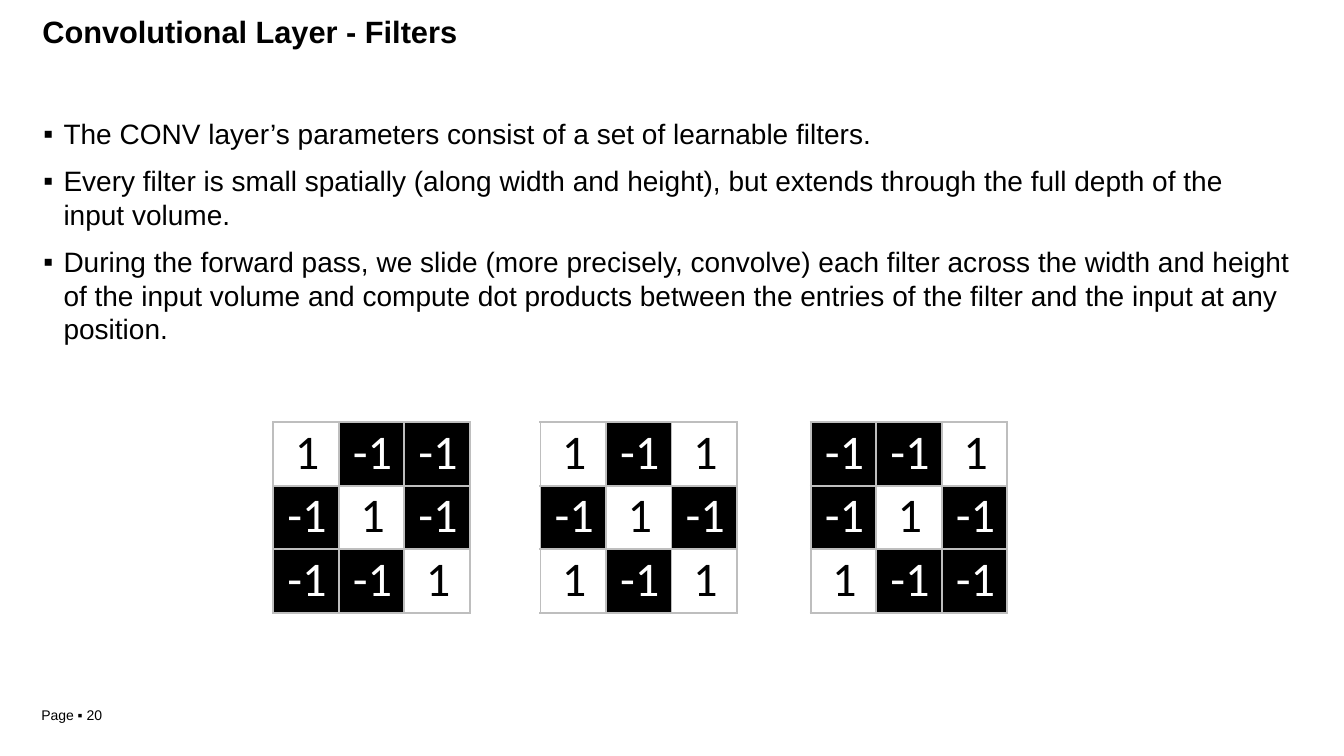
import dataclasses
import typing

import lxml.etree
import pptx
import pptx.dml.color
import pptx.enum.text
import pptx.oxml
import pptx.oxml.ns
import pptx.util

Inches = pptx.util.Inches
Pt = pptx.util.Pt
RGBColor = pptx.dml.color.RGBColor


@dataclasses.dataclass(frozen=True)
class Theme:
    black: RGBColor = RGBColor(0, 0, 0)
    white: RGBColor = RGBColor(255, 255, 255)
    border: str = "BEBEBE"
    text_font: str = "Arial"
    number_font: str = "Calibri"
    title_size: float = 22
    body_size: float = 20
    page_size: float = 10
    number_size: float = 34.5
    border_width: float = 1.5


@dataclasses.dataclass(frozen=True)
class Box:
    left: float
    top: float
    width: float
    height: float


@dataclasses.dataclass(frozen=True)
class Filter:
    left: float
    weights: tuple[tuple[int, ...], ...]


THEME = Theme()
TITLE_BOX = Box(0.42, 0.12, 4.5, 0.38)
BODY_BOX = Box(0.42, 1.01, 12.38, 2.43)
PAGE_BOX = Box(0.41, 7.01, 0.67, 0.17)
FILTER_TOP = 4.19
CELL_WIDTH = 0.65
CELL_HEIGHT = 0.63
BULLETS = (
    "The CONV layer’s parameters consist of a set of learnable filters.",
    "Every filter is small spatially (along width and height), but extends "
    "through the full depth of the input volume.",
    "During the forward pass, we slide (more precisely, convolve) each filter "
    "across the width and height of the input volume and compute dot products "
    "between the entries of the filter and the input at any position.",
)
FILTERS = (
    Filter(2.71, ((1, -1, -1), (-1, 1, -1), (-1, -1, 1))),
    Filter(5.36, ((1, -1, 1), (-1, 1, -1), (1, -1, 1))),
    Filter(8.04, ((-1, -1, 1), (-1, 1, -1), (1, -1, -1))),
)


def place(shape: typing.Any, box: Box, inset_top: float) -> typing.Any:
    shape.left, shape.top = Inches(box.left), Inches(box.top)
    shape.width, shape.height = Inches(box.width), Inches(box.height)
    frame = shape.text_frame
    frame.margin_left = frame.margin_right = frame.margin_bottom = 0
    frame.margin_top = Inches(inset_top)
    frame.word_wrap = True
    frame.auto_size = pptx.enum.text.MSO_AUTO_SIZE.NONE
    frame.vertical_anchor = pptx.enum.text.MSO_ANCHOR.TOP
    return frame


def format_paragraph(paragraph: typing.Any, font: str, size: float, color: RGBColor,
                     bold: bool = False, centered: bool = False) -> None:
    alignment = pptx.enum.text.PP_ALIGN
    paragraph.alignment = alignment.CENTER if centered else alignment.LEFT
    paragraph.font.name = font
    paragraph.font.size = Pt(size)
    paragraph.font.bold = bold
    paragraph.font.color.rgb = color


def add_bullet(paragraph: typing.Any) -> None:
    properties = paragraph._p.get_or_add_pPr()
    properties.set("marL", str(Inches(0.21)))
    properties.set("indent", str(Inches(-0.2)))
    bullet_font = lxml.etree.SubElement(properties, pptx.oxml.ns.qn("a:buFont"))
    bullet_font.set("typeface", THEME.text_font)
    bullet = lxml.etree.SubElement(properties, pptx.oxml.ns.qn("a:buChar"))
    bullet.set("char", "▪")


def add_borders(cell: typing.Any) -> None:
    properties = cell._tc.get_or_add_tcPr()
    for position, side in enumerate(("lnL", "lnR", "lnT", "lnB")):
        properties.insert(position, pptx.oxml.parse_xml(
            f'<a:{side} {pptx.oxml.ns.nsdecls("a")} w="{Pt(THEME.border_width)}">'
            f'<a:solidFill><a:srgbClr val="{THEME.border}"/></a:solidFill></a:{side}>'))


def add_title(slide: typing.Any) -> None:
    frame = place(slide.shapes.title, TITLE_BOX, 0.01)
    frame.text = "Convolutional Layer - Filters"
    format_paragraph(frame.paragraphs[0], THEME.text_font, THEME.title_size,
                     THEME.black, bold=True)


def add_body(slide: typing.Any) -> None:
    frame = place(slide.placeholders[1], BODY_BOX, 0.15)
    frame.text = "\n".join(BULLETS)
    for index, paragraph in enumerate(frame.paragraphs):
        add_bullet(paragraph)
        paragraph.space_before = Pt(9.6 if index else 0)
        format_paragraph(paragraph, THEME.text_font, THEME.body_size, THEME.black)


def add_page_number(slide: typing.Any) -> None:
    frame = place(slide.shapes.add_textbox(0, 0, 0, 0), PAGE_BOX, 0)
    frame.text = "Page ▪ 20"
    format_paragraph(frame.paragraphs[0], THEME.text_font, THEME.page_size, THEME.black)


def add_filter(slide: typing.Any, kernel: Filter) -> None:
    size = len(kernel.weights)
    table = slide.shapes.add_table(
        size, size, Inches(kernel.left), Inches(FILTER_TOP),
        Inches(CELL_WIDTH * size), Inches(CELL_HEIGHT * size)).table
    table.first_row = table.horz_banding = False
    for row, weights in enumerate(kernel.weights):
        for column, weight in enumerate(weights):
            cell = table.cell(row, column)
            cell.text = str(weight)
            cell.margin_left = Inches(0.02)
            cell.margin_right = cell.margin_bottom = 0
            cell.margin_top = Inches(0.01)
            positive = weight > 0
            cell.fill.solid()
            cell.fill.fore_color.rgb = THEME.white if positive else THEME.black
            add_borders(cell)
            format_paragraph(cell.text_frame.paragraphs[0], THEME.number_font,
                             THEME.number_size,
                             THEME.black if positive else THEME.white, centered=True)


def main() -> None:
    presentation = pptx.Presentation()
    presentation.slide_width = Inches(13.33)
    presentation.slide_height = Inches(7.5)
    slide = presentation.slides.add_slide(presentation.slide_layouts[1])
    add_title(slide)
    add_body(slide)
    add_page_number(slide)
    for kernel in FILTERS:
        add_filter(slide, kernel)
    presentation.save("out.pptx")


if __name__ == "__main__":
    main()
